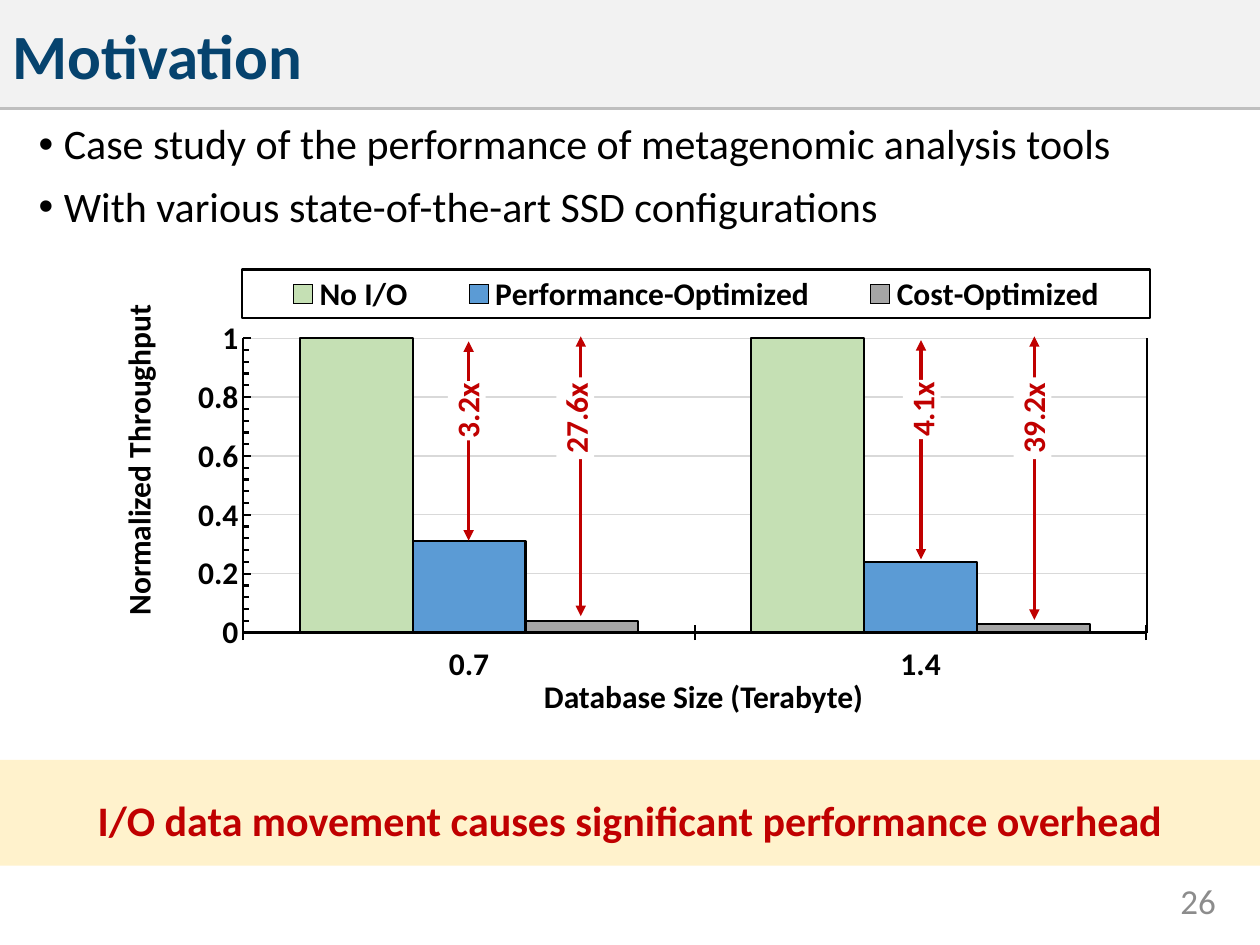
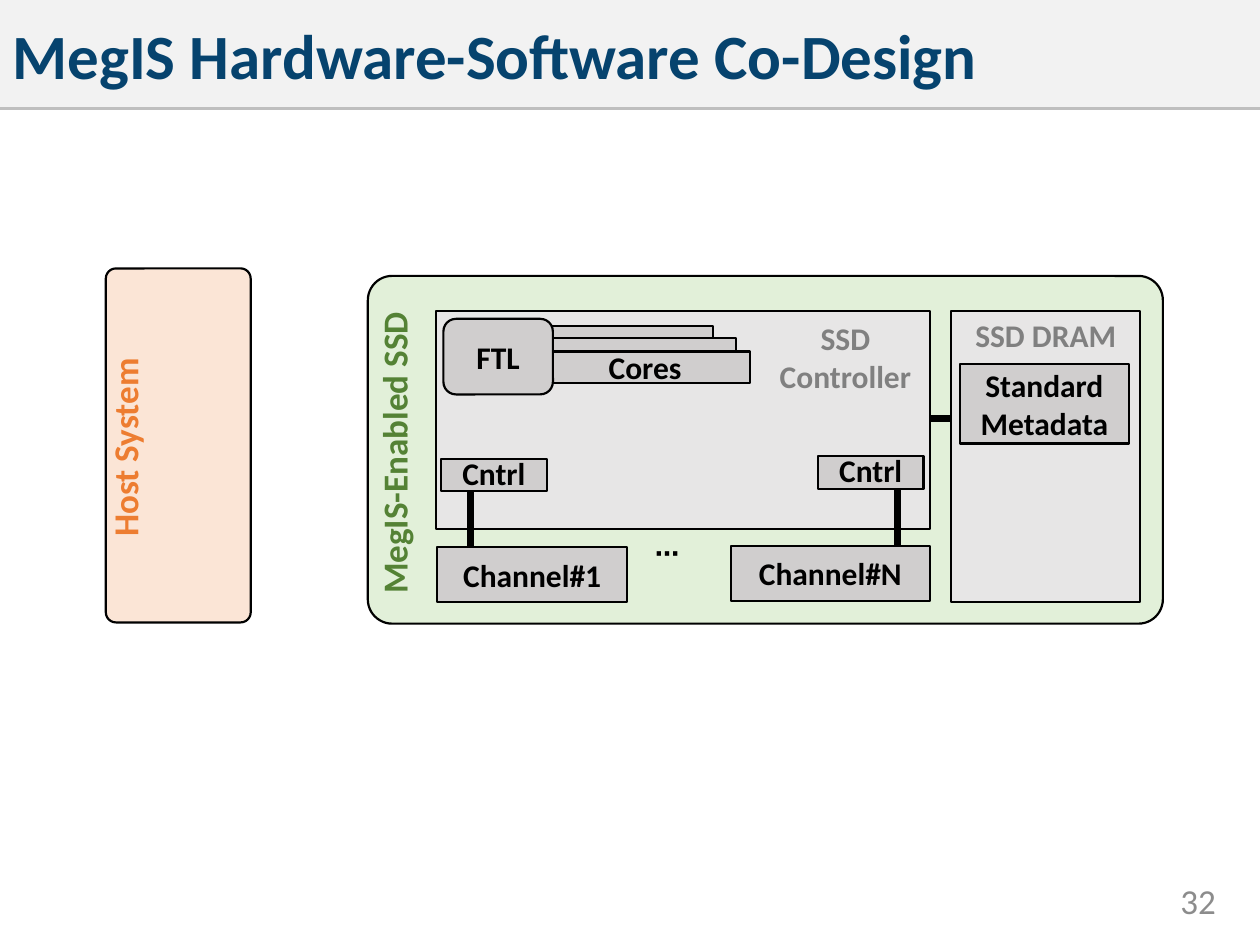
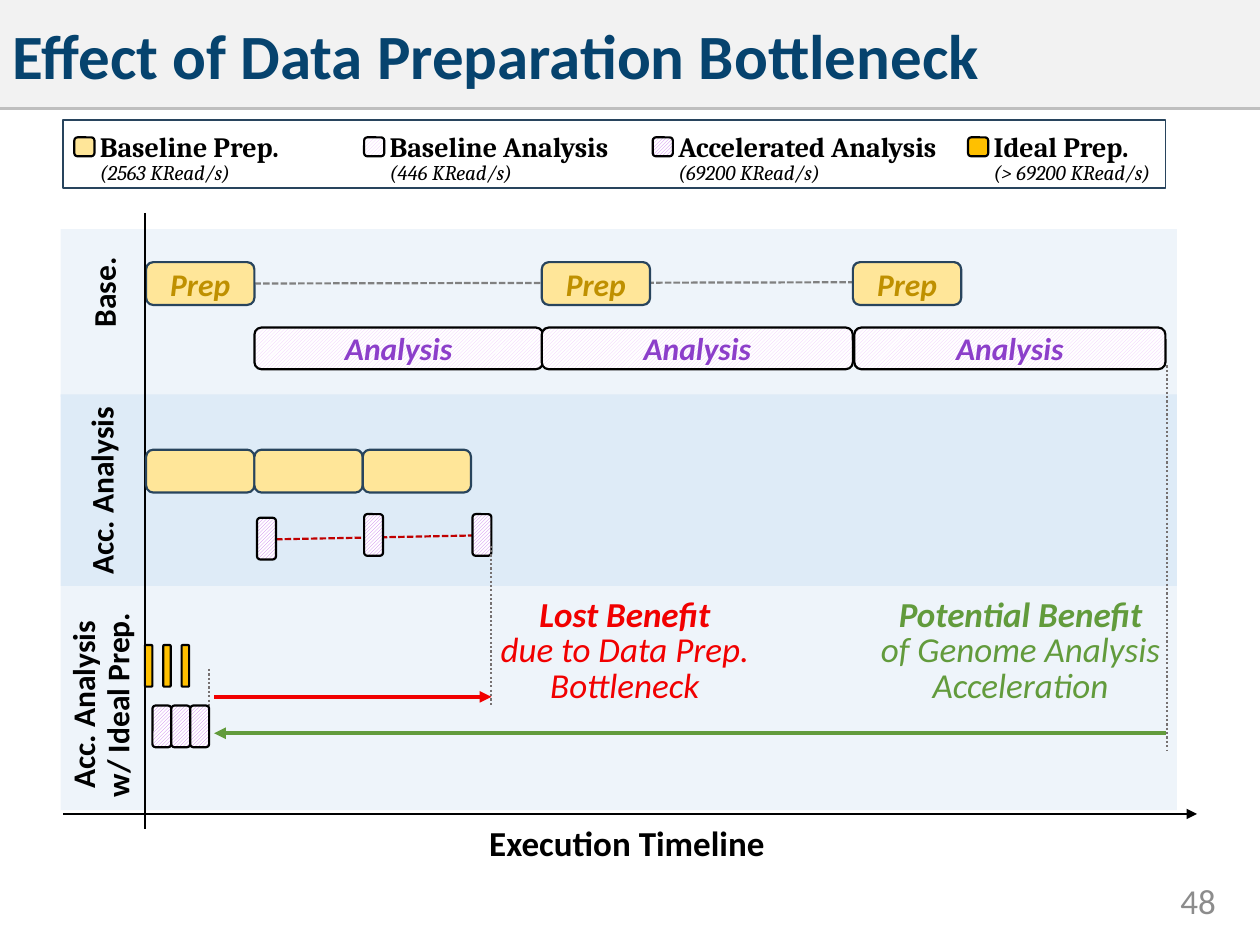
from dataclasses import dataclass, replace
from typing import NamedTuple, Optional

from lxml.etree import SubElement
from pptx import Presentation
from pptx.chart.data import CategoryChartData
from pptx.dml.color import RGBColor
from pptx.enum.chart import XL_CHART_TYPE, XL_LEGEND_POSITION, XL_TICK_MARK
from pptx.enum.dml import MSO_LINE, MSO_PATTERN
from pptx.enum.shapes import MSO_CONNECTOR, MSO_SHAPE
from pptx.enum.text import MSO_ANCHOR, MSO_AUTO_SIZE, PP_ALIGN
from pptx.oxml.ns import qn
from pptx.util import Pt

COLORS = {
    "black": "000000", "white": "FFFFFF", "title": "06436E", "title_band": "F2F2F2",
    "rule": "BFBFBF", "page": "8C8C8C", "red": "C00000", "message_band": "FFF2CC",
    "no_io": "C5E0B4", "performance": "5B9BD5", "cost": "A5A5A5", "grid": "D9D9D9",
    "host": "FBE5D6", "host_text": "ED7D31", "ssd": "E2F0D9", "ssd_text": "548235",
    "panel": "E7E6E6", "part": "D0CECE", "caption": "808080", "row": "DEEBF7",
    "prep": "FFE699", "prep_text": "BF9000", "navy": "28445D", "ideal": "FFC000",
    "analysis": "F0C7FC", "accelerated": "C577EB", "analysis_text": "8C3FCA",
    "guide": "767171", "lost": "F10000", "potential": "629B3C",
}
HATCHED = {"analysis", "accelerated"}
FONT = "Calibri"
DEFAULT_INSETS = (7.2, 3.6, 7.2, 3.6)
NO_INSETS = (0, 0, 0, 0)
ROUNDED = MSO_SHAPE.ROUNDED_RECTANGLE


@dataclass(frozen=True)
class Style:
    size: float = 18
    color: str = "black"
    bold: bool = True
    italic: bool = False
    font: str = FONT
    align: PP_ALIGN = PP_ALIGN.CENTER
    spacing: float = 1.0
    before: float = 0
    after: float = 0


@dataclass(frozen=True)
class Box:
    left: float
    top: float
    width: float
    height: float
    lines: tuple = ()
    style: Style = Style()
    detail: Optional[Style] = None
    fill: Optional[str] = None
    line: Optional[str] = None
    line_width: float = 1.25
    opacity: Optional[int] = None
    kind: MSO_SHAPE = MSO_SHAPE.RECTANGLE
    corner: Optional[float] = None
    rotation: float = 0
    insets: tuple = DEFAULT_INSETS
    anchor: MSO_ANCHOR = MSO_ANCHOR.TOP


@dataclass(frozen=True)
class Line:
    x1: float
    y1: float
    x2: float
    y2: float
    color: str = "black"
    width: float = 1.25
    dash: Optional[MSO_LINE] = None
    ends: tuple = ()


class Slowdown(NamedTuple):
    label: str
    x: float
    top: float
    bottom: float
    label_left: float
    label_top: float
    label_width: float


class Key(NamedTuple):
    left: float
    fill: str
    name: str
    rate: str
    width: float


def rgb(name: str) -> RGBColor:
    return RGBColor.from_string(COLORS[name])


def set_font(font, style: Style) -> None:
    font.name = style.font
    font.size = Pt(style.size)
    font.bold = style.bold
    font.italic = style.italic
    font.color.rgb = rgb(style.color)


def add_bullet(paragraph, indent: float) -> None:
    properties = paragraph._p.get_or_add_pPr()
    properties.set("marL", str(Pt(indent)))
    properties.set("indent", str(-Pt(indent)))
    SubElement(properties, qn("a:buFont"), typeface="Arial")
    SubElement(properties, qn("a:buChar"), char="•")


def write(shape, box: Box, bullet_indent: float = 0) -> None:
    frame = shape.text_frame
    frame.word_wrap = True
    frame.auto_size = MSO_AUTO_SIZE.NONE
    frame.vertical_anchor = box.anchor
    (frame.margin_left, frame.margin_top,
     frame.margin_right, frame.margin_bottom) = map(Pt, box.insets)
    for index, text in enumerate(box.lines):
        paragraph = frame.add_paragraph() if index else frame.paragraphs[0]
        style = box.detail if index and box.detail else box.style
        paragraph.text = text
        if bullet_indent:
            add_bullet(paragraph, bullet_indent)
        paragraph.alignment = style.align
        paragraph.line_spacing = style.spacing
        paragraph.space_before = Pt(style.before if index else 0)
        paragraph.space_after = Pt(style.after)
        set_font(paragraph.font, style)


def paint(shape, box: Box) -> None:
    fill = shape.fill
    if box.fill in HATCHED:
        fill.patterned()
        fill.pattern = MSO_PATTERN.DARK_UPWARD_DIAGONAL
        fill.fore_color.rgb = rgb(box.fill)
        fill.back_color.rgb = rgb("white")
    else:
        fill.solid()
        fill.fore_color.rgb = rgb(box.fill)
    if box.opacity:
        color = shape.element.spPr.find(".//" + qn("a:srgbClr"))
        SubElement(color, qn("a:alpha"), val=str(box.opacity * 1000))
    if box.line:
        shape.line.color.rgb = rgb(box.line)
        shape.line.width = Pt(box.line_width)
    else:
        shape.line.fill.background()


def draw_box(slide, box: Box, bullet_indent: float = 0) -> None:
    frame = [Pt(value) for value in (box.left, box.top, box.width, box.height)]
    if box.fill:
        shape = slide.shapes.add_shape(box.kind, *frame)
        shape.shadow.inherit = False
        paint(shape, box)
        if box.corner:
            shape.adjustments[0] = box.corner
    else:
        shape = slide.shapes.add_textbox(*frame)
    shape.rotation = box.rotation
    if box.lines:
        write(shape, box, bullet_indent)


def draw_line(slide, line: Line) -> None:
    points = [Pt(value) for value in (line.x1, line.y1, line.x2, line.y2)]
    connector = slide.shapes.add_connector(MSO_CONNECTOR.STRAIGHT, *points)
    connector.line.color.rgb = rgb(line.color)
    connector.line.width = Pt(line.width)
    if line.dash:
        connector.line.dash_style = line.dash
    properties = connector.element.spPr
    for end in line.ends:
        SubElement(properties.find(qn("a:ln")), qn(f"a:{end}"), type="triangle")
    SubElement(properties, qn("a:effectLst"))


def draw_all(slide, items) -> None:
    for item in items:
        if isinstance(item, Line):
            draw_line(slide, item)
        else:
            draw_box(slide, item)


def start_slide(presentation, title: str, number: int):
    slide = presentation.slides.add_slide(presentation.slide_layouts[5])
    draw_line(slide, Line(0, 62, 720, 62, "rule", 2))
    band = Box(0, 0, 720, 62, (title,), fill="title_band", anchor=MSO_ANCHOR.MIDDLE,
               style=Style(36, "title", align=PP_ALIGN.LEFT, after=6))
    shape = slide.shapes.title
    shape.left, shape.top = Pt(band.left), Pt(band.top)
    shape.width, shape.height = Pt(band.width), Pt(band.height)
    paint(shape, band)
    write(shape, band)
    draw_box(slide, Box(624, 500.4, 78, 28.8, (str(number),), anchor=MSO_ANCHOR.MIDDLE,
                        style=Style(20, "page", bold=False, align=PP_ALIGN.RIGHT)))
    return slide


def set_layout(parent, position: int, x: float, y: float, w: float, h: float,
               inner: bool = False) -> None:
    for previous in parent.findall(qn("c:layout")):
        parent.remove(previous)
    layout = SubElement(parent, qn("c:layout"))
    parent.insert(position, layout)
    manual = SubElement(layout, qn("c:manualLayout"))
    if inner:
        SubElement(manual, qn("c:layoutTarget"), val="inner")
    for tag in ("xMode", "yMode"):
        SubElement(manual, qn(f"c:{tag}"), val="edge")
    for tag, value in (("x", x), ("y", y), ("w", w), ("h", h)):
        SubElement(manual, qn(f"c:{tag}"), val=str(value))


def outline_legend(legend) -> None:
    element = legend._element
    properties = SubElement(element, qn("c:spPr"))
    element.find(qn("c:overlay")).addnext(properties)
    line = SubElement(properties, qn("a:ln"), w=str(Pt(1.25)))
    SubElement(SubElement(line, qn("a:solidFill")), qn("a:srgbClr"), val=COLORS["black"])


def add_throughput_chart(slide) -> None:
    data = CategoryChartData()
    data.categories = ["0.7", "1.4"]
    data.add_series("No I/O", (1, 1))
    data.add_series("Performance-Optimized", (0.31, 0.24))
    data.add_series("Cost-Optimized", (0.04, 0.03))
    frame = [Pt(value) for value in (92.9, 149, 570.2, 253.4)]
    chart = slide.shapes.add_chart(XL_CHART_TYPE.COLUMN_CLUSTERED, *frame, data).chart
    chart.has_title = False
    set_font(chart.font, Style())
    plot = chart.plots[0]
    plot.gap_width = 100
    plot.overlap = 0
    plot.vary_by_categories = False
    for series, color in zip(plot.series, ("no_io", "performance", "cost")):
        series.format.fill.solid()
        series.format.fill.fore_color.rgb = rgb(color)
        series.format.line.color.rgb = rgb("black")
        series.format.line.width = Pt(1.25)
    for axis in (chart.category_axis, chart.value_axis):
        axis.format.line.color.rgb = rgb("black")
        axis.format.line.width = Pt(1.25)
        set_font(axis.tick_labels.font, Style())
    chart.category_axis.major_tick_mark = XL_TICK_MARK.CROSS
    values = chart.value_axis
    values.minimum_scale, values.maximum_scale = 0, 1
    values.major_unit, values.minor_unit = 0.2, 0.04
    values.major_tick_mark = values.minor_tick_mark = XL_TICK_MARK.INSIDE
    values.major_gridlines.format.line.color.rgb = rgb("grid")
    values.major_gridlines.format.line.width = Pt(0.75)
    chart.has_legend = True
    legend = chart.legend
    legend.position = XL_LEGEND_POSITION.TOP
    legend.include_in_layout = False
    set_font(legend.font, Style())
    outline_legend(legend)
    set_layout(legend._element, 1, 0.08, 0.02, 0.91, 0.11)
    set_layout(plot._element.getparent(), 0, 0.081, 0.175, 0.905, 0.664, inner=True)


def build_motivation(presentation) -> None:
    slide = start_slide(presentation, "Motivation", 26)
    body = Style(24, bold=False, align=PP_ALIGN.LEFT, spacing=0.9, before=10)
    draw_box(slide, Box(15, 67, 693, 423, (
        "Case study of the performance of metagenomic analysis tools",
        "With various state-of-the-art SSD configurations"), body), bullet_indent=14.4)
    draw_all(slide, (
        Box(-36, 248.4, 229.7, 28.8, ("Normalized Throughput",), rotation=270),
        Box(255.6, 387.4, 293, 25.2, ("Database Size (Terabyte)",), Style(spacing=0.8)),
        Box(0, 434.2, 720, 60.5, ("I/O data movement causes significant performance overhead",),
            Style(24, "red", spacing=1.5, after=10), fill="message_band",
            insets=(7.2, 0, 7.2, 6.5), anchor=MSO_ANCHOR.MIDDLE)))
    add_throughput_chart(slide)
    draw_line(slide, Line(655.4, 193.3, 655.4, 361.5))
    slowdowns = (
        Slowdown("3.2x", 267.8, 195.1, 308.9, 249.8, 223.9, 33.8),
        Slowdown("4.1x", 526.3, 194.4, 319.7, 509.8, 223.2, 33.8),
        Slowdown("27.6x", 331.9, 192.2, 352.1, 305.3, 228.2, 46.8),
        Slowdown("39.2x", 591.1, 192.2, 354.2, 566.6, 228.2, 46.8),
    )
    for item in slowdowns:
        draw_line(slide, Line(item.x, item.top, item.x, item.bottom, "red", 1.75,
                              ends=("headEnd", "tailEnd")))
        draw_box(slide, Box(item.label_left, item.label_top, item.label_width, 21.6,
                            (item.label,), Style(color="red"), fill="white",
                            rotation=270, insets=NO_INSETS))


def build_hardware(presentation) -> None:
    slide = start_slide(presentation, "MegIS Hardware-Software Co-Design", 32)
    part = Box(0, 0, 119.5, 18, fill="part", line="black", insets=NO_INSETS,
               anchor=MSO_ANCHOR.MIDDLE)
    panel = replace(part, fill="panel", anchor=MSO_ANCHOR.TOP, insets=(0, 2.9, 0, 2.9))
    device = Box(210.2, 157.7, 454.3, 198.7, fill="ssd", line="black",
                 kind=ROUNDED, corner=0.07)
    controller = replace(part, width=60.5, height=18.7, lines=("Cntrl",),
                         anchor=MSO_ANCHOR.BOTTOM)
    channel = replace(part, height=31.7, insets=(7.2, 0, 7.2, 0))
    caption = Style(color="caption")
    draw_all(slide, (
        replace(device, left=0.7, top=213.1, width=202.3, height=82.8, fill="host",
                rotation=270),
        Box(-30.2, 239.8, 203, 31.7, ("Host System",), Style(20, "host_text"), rotation=270),
        device,
        Line(504.7, 239, 560.9, 239, width=4),
        replace(panel, left=543.6, top=177.8, width=108, height=166.3,
                lines=("SSD DRAM",), style=caption),
        replace(panel, left=249.1, top=177.8, width=282.2, height=124.6),
        replace(part, left=548.6, top=208.1, width=96.5, height=45.4,
                lines=("Standard", "Metadata")),
        Box(422.6, 178.6, 121, 51.1, ("SSD", "Controller"), caption),
        replace(part, left=288, top=186.5),
        replace(part, left=301, top=193),
        replace(part, left=308.9, top=200.9, lines=("Cores",)),
        replace(part, left=253.4, top=182.2, width=62.6, height=43.2, lines=("FTL",),
                kind=ROUNDED, insets=(0, 3.6, 0, 3.6)),
        Line(268.6, 280.8, 268.6, 334.1, width=4),
        Line(512.6, 280.1, 512.6, 333.4, width=4),
        Box(366.5, 303.1, 29.5, 25.2, ("⋯",), Style(14), insets=NO_INSETS,
            anchor=MSO_ANCHOR.MIDDLE),
        Box(136.8, 237.6, 200.9, 42.5, ("MegIS-Enabled SSD",),
            Style(20, "ssd_text", spacing=0.7), rotation=270),
        replace(controller, left=467.3, top=260.6),
        replace(controller, left=252, top=262.1),
        replace(channel, left=417.6, top=311.8, width=113.8, lines=("Channel#N",)),
        replace(channel, left=249.8, top=312.5, width=108.7, lines=("Channel#1",)),
    ))


def benefit(left: float, width: float, color: str, lines: tuple) -> Box:
    style = Style(20, color, italic=True, spacing=0.85)
    return Box(left, 342, width, 61.9, lines, style, replace(style, bold=False),
               insets=NO_INSETS)


def draw_legend(slide) -> None:
    draw_box(slide, Box(36, 68.4, 630, 38.9, fill="white", line="navy", line_width=1))
    name = Style(16, font="Cambria", align=PP_ALIGN.LEFT, spacing=0.85)
    rate = replace(name, size=12, bold=False, italic=True)
    keys = (
        Key(42.5, "prep", "Baseline Prep.", "(2563 KRead/s)", 118.8),
        Key(208.1, "analysis", "Baseline Analysis", "(446 KRead/s)", 133.9),
        Key(373, "accelerated", "Accelerated Analysis", "(69200 KRead/s)", 151.2),
        Key(553.2, "ideal", "Ideal Prep.", "(> 69200 KRead/s)", 98.6),
    )
    for key in keys:
        draw_box(slide, Box(key.left, 78.5, 11.5, 10.8, fill=key.fill, line="black",
                            kind=ROUNDED))
        draw_box(slide, Box(key.left + 14.6, 77, key.width, 28.8, (key.name, key.rate),
                            name, rate, insets=NO_INSETS))


def build_bottleneck(presentation) -> None:
    slide = start_slide(presentation, "Effect of Data Preparation Bottleneck", 48)
    row = Box(34.6, 131, 637.9, 95.8, fill="row", opacity=51)
    row_label = Box(-4.3, 156.2, 126.7, 21.6, ("Base.",), rotation=270, insets=NO_INSETS)
    tight = Style(spacing=0.9)
    prep = Box(83.5, 257, 61.9, 24.5, fill="prep", line="navy", kind=ROUNDED,
               anchor=MSO_ANCHOR.MIDDLE)
    named_prep = replace(prep, top=149.8, lines=("Prep",),
                         style=Style(color="prep_text", italic=True))
    analysis = Box(145.4, 187.2, 177.8, 23.8, ("Analysis",),
                   Style(color="analysis_text", italic=True), fill="analysis",
                   line="black", kind=ROUNDED, anchor=MSO_ANCHOR.MIDDLE)
    accelerated = Box(0, 403.2, 10.8, 23.8, fill="accelerated", line="black", kind=ROUNDED)
    ideal = replace(accelerated, top=368.6, width=4.3, fill="ideal")
    draw_all(slide, (
        replace(row, top=334.8, height=128.2),
        replace(row, top=225.4, height=109.4, opacity=None),
        row,
        Line(36, 465.1, 684, 465.1, ends=("tailEnd",)),
        Line(145.4, 162, 487.4, 161.3, "caption", dash=MSO_LINE.SQUARE_DOT),
        Line(157.7, 308.2, 270, 306, "red", dash=MSO_LINE.SQUARE_DOT),
        *(replace(named_prep, left=left) for left in (83.5, 309.6, 487.4)),
        *(replace(analysis, left=left, width=width)
          for left, width in ((145.4, 164.9), (309.6, 177.8), (488.2, 177.8))),
        *(replace(accelerated, left=left, top=top)
          for left, top in ((146.9, 295.9), (208.1, 293.8), (270, 293.8))),
        *(Line(x, top, x, bottom, "guide", dash=MSO_LINE.ROUND_DOT)
          for x, top, bottom in ((280.8, 311.8, 403.2), (666.7, 208.8, 428.4),
                                 (119.5, 382.3, 404.6))),
        row_label,
        replace(row_label, top=270.7, height=19.4, lines=("Acc. Analysis",), style=tight),
        replace(row_label, left=-6.5, top=383, width=130.3, height=39.6,
                lines=("Acc. Analysis", "w/ Ideal Prep."), style=tight),
        Line(122.4, 398.2, 280.8, 398.2, "lost", 2.25, ends=("tailEnd",)),
        benefit(278.6, 157, "lost", ("Lost Benefit", "due to Data Prep.", "Bottleneck")),
        Box(34.6, 465.8, 647.3, 31.7, ("Execution Timeline",), Style(20)),
        Line(82.8, 121.7, 82.8, 473.8),
        *(replace(prep, left=83.5 + 61.9 * i) for i in range(3)),
        *(replace(accelerated, left=87.1 + 10.8 * i) for i in range(3)),
        *(replace(ideal, left=82.8 + 10.5 * i) for i in range(3)),
        Line(666, 419, 122.4, 419, "potential", 2.25, ends=("tailEnd",)),
        benefit(478.1, 210.2, "potential",
                ("Potential Benefit", "of Genome Analysis", "Acceleration")),
    ))
    draw_legend(slide)


def main() -> None:
    presentation = Presentation()
    presentation.slide_width, presentation.slide_height = Pt(720), Pt(540)
    build_motivation(presentation)
    build_hardware(presentation)
    build_bottleneck(presentation)
    presentation.save("out.pptx")


if __name__ == "__main__":
    main()
